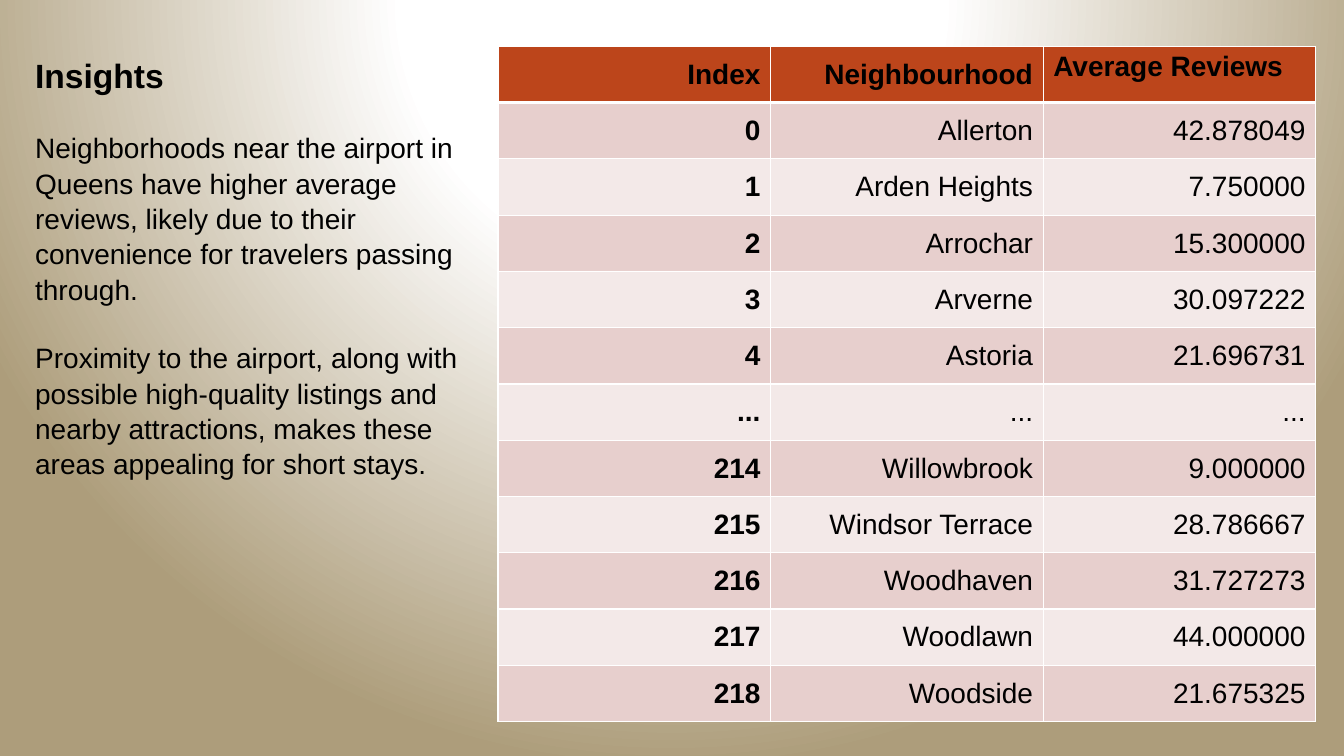
from pptx import Presentation
from pptx.dml.color import RGBColor
from pptx.enum.text import MSO_ANCHOR, MSO_AUTO_SIZE, PP_ALIGN
from pptx.oxml import parse_xml
from pptx.oxml.ns import nsdecls
from pptx.util import Inches, Pt

# Content
TITLE = "Insights"
NOTES = [
    "Neighborhoods near the airport in Queens have higher average reviews, "
    "likely due to their convenience for travelers passing through.",
    "Proximity to the airport, along with possible high-quality listings and "
    "nearby attractions, makes these areas appealing for short stays.",
]
ROWS = [
    ("Index", "Neighbourhood", "Average Reviews"),
    ("0", "Allerton", "42.878049"),
    ("1", "Arden Heights", "7.750000"),
    ("2", "Arrochar", "15.300000"),
    ("3", "Arverne", "30.097222"),
    ("4", "Astoria", "21.696731"),
    ("...", "...", "..."),
    ("214", "Willowbrook", "9.000000"),
    ("215", "Windsor Terrace", "28.786667"),
    ("216", "Woodhaven", "31.727273"),
    ("217", "Woodlawn", "44.000000"),
    ("218", "Woodside", "21.675325"),
]

# Colours
BLACK = RGBColor(0x00, 0x00, 0x00)
WHITE = RGBColor(0xFF, 0xFF, 0xFF)
TAN = RGBColor(0xAD, 0x9D, 0x7B)
RUST = RGBColor(0xBC, 0x45, 0x1B)
ROSE = RGBColor(0xE7, 0xCF, 0xCD)
PALE = RGBColor(0xF3, 0xE9, 0xE8)

# Table frame in inches
LEFT, TOP, WIDTH, HEIGHT = 4.94, 0.46, 8.11, 6.7


def write(para, text, size=20, bold=False, align=PP_ALIGN.LEFT, gap=0, line=1.0):
    para.alignment = align
    para.space_before = Pt(gap)
    para.line_spacing = line
    run = para.add_run()
    run.text = text
    font = run.font
    font.name, font.size, font.bold = "Arial", Pt(size), bold
    font.color.rgb = BLACK


def paint(slide):
    stops = "".join(
        f'<a:gs pos="{pos * 1000}"><a:srgbClr val="{tone}"/></a:gs>'
        for pos, tone in [(0, WHITE), (35, WHITE), (100, TAN)])
    slide.element.cSld.insert(0, parse_xml(
        f'<p:bg {nsdecls("p", "a")}><p:bgPr><a:gradFill rotWithShape="1">'
        f'<a:gsLst>{stops}</a:gsLst><a:path path="circle">'
        '<a:fillToRect l="50000" t="-80000" r="50000" b="180000"/></a:path>'
        '</a:gradFill><a:effectLst/></p:bgPr></p:bg>'))


def edge(cell, row):
    # Thick rule between the header and the body
    widths = {"L": 1, "R": 1, "T": 3 if row == 1 else 1, "B": 3 if row == 0 else 1}
    props = cell._tc.get_or_add_tcPr()
    for spot, (side, width) in enumerate(widths.items()):
        props.insert(spot, parse_xml(
            f'<a:ln{side} {nsdecls("a")} w="{Pt(width)}"><a:solidFill>'
            f'<a:srgbClr val="{WHITE}"/></a:solidFill></a:ln{side}>'))


def main():
    deck = Presentation()
    deck.slide_width, deck.slide_height = Inches(13.33), Inches(7.5)
    slide = deck.slides.add_slide(deck.slide_layouts[6])
    paint(slide)

    # Insights text
    box = slide.shapes.add_textbox(
        Inches(0.25), Inches(0.48), Inches(4.48), Inches(3.87))
    frame = box.text_frame
    frame.word_wrap = True
    frame.auto_size = MSO_AUTO_SIZE.SHAPE_TO_FIT_TEXT
    write(frame.paragraphs[0], TITLE, size=24, bold=True, line=1.05)
    for note in NOTES:
        write(frame.add_paragraph(), note, gap=24, line=1.05)

    # Reviews table
    count, cols = len(ROWS), len(ROWS[0])
    table = slide.shapes.add_table(
        count, cols, Inches(LEFT), Inches(TOP), Inches(WIDTH), Inches(HEIGHT)).table
    for col in table.columns:
        col.width = Inches(WIDTH / cols)
    for r, row in enumerate(ROWS):
        table.rows[r].height = Inches(HEIGHT / count)
        for c, text in enumerate(row):
            cell = table.cell(r, c)
            corner = r == 0 and c == cols - 1
            cell.fill.solid()
            cell.fill.fore_color.rgb = RUST if r == 0 else ROSE if r % 2 else PALE
            cell.vertical_anchor = MSO_ANCHOR.TOP if corner else MSO_ANCHOR.MIDDLE
            edge(cell, r)
            write(cell.text_frame.paragraphs[0], text, bold=r == 0 or c == 0,
                  align=PP_ALIGN.LEFT if corner else PP_ALIGN.RIGHT)

    deck.save("out.pptx")


if __name__ == "__main__":
    main()
